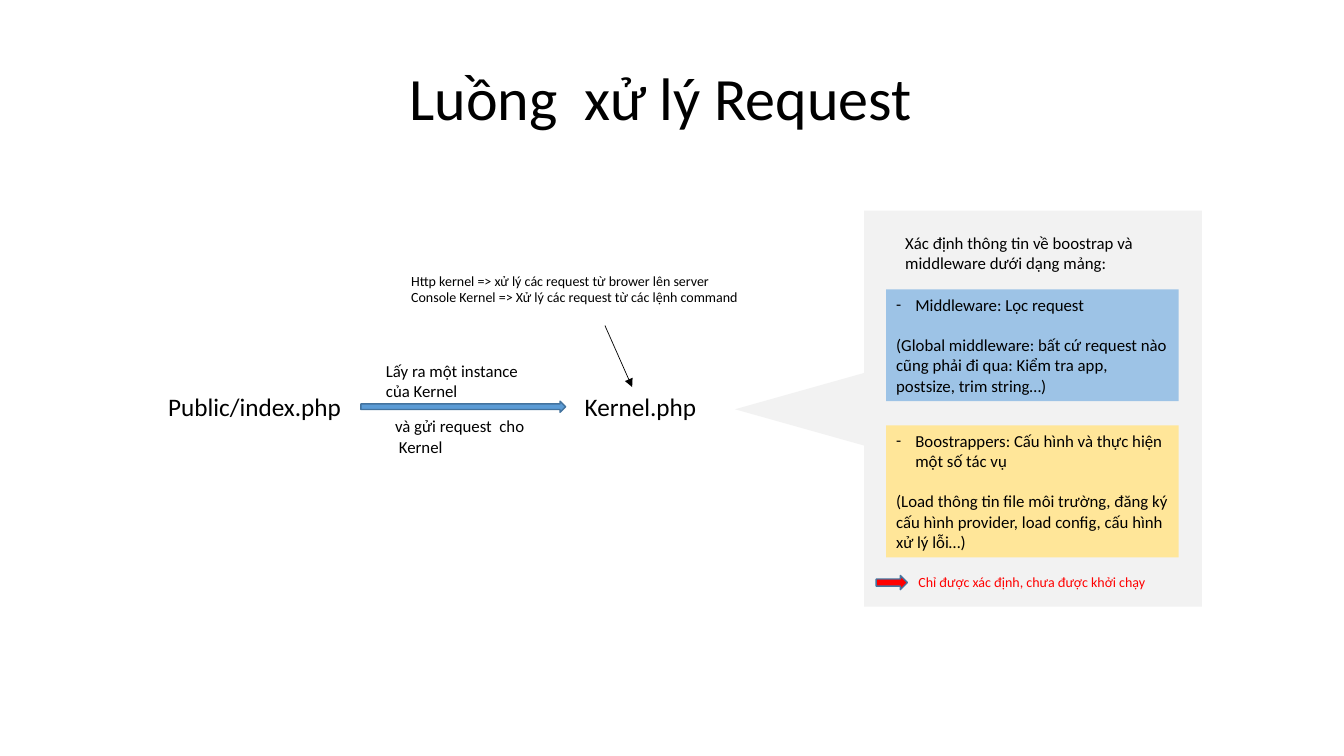
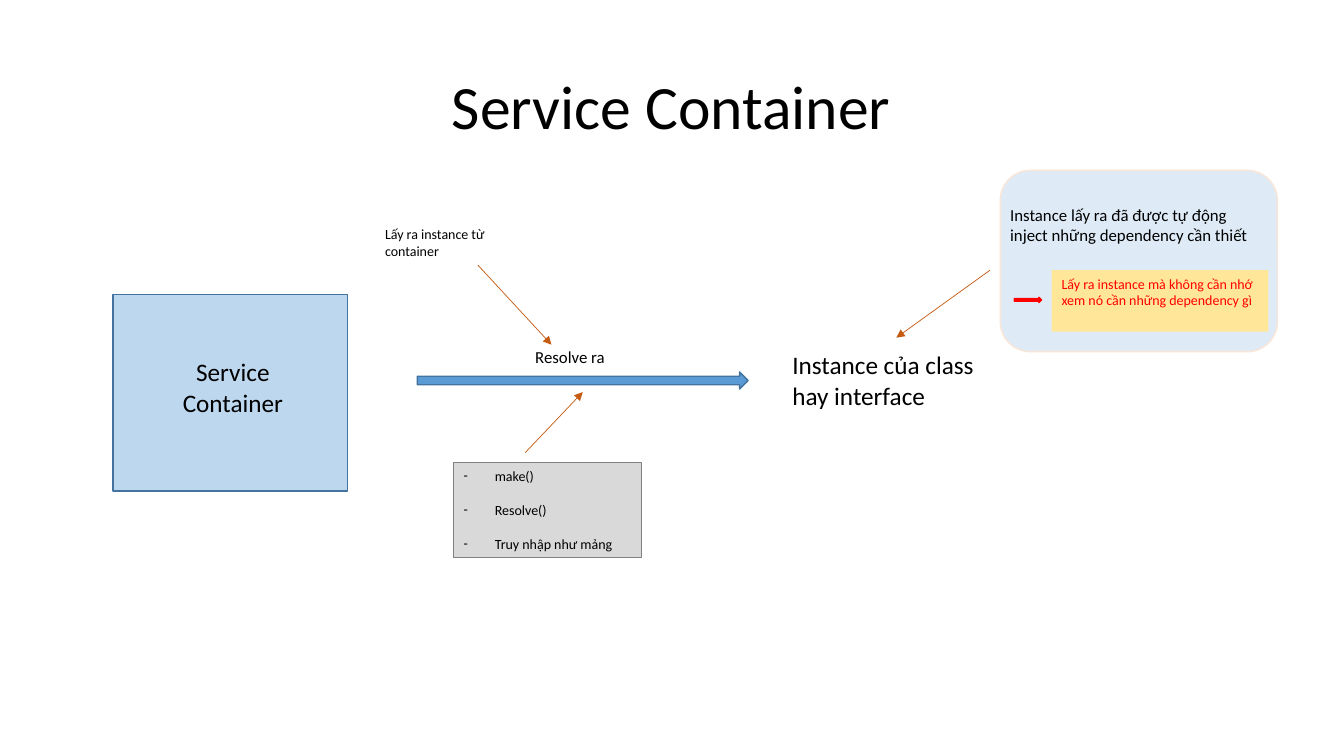
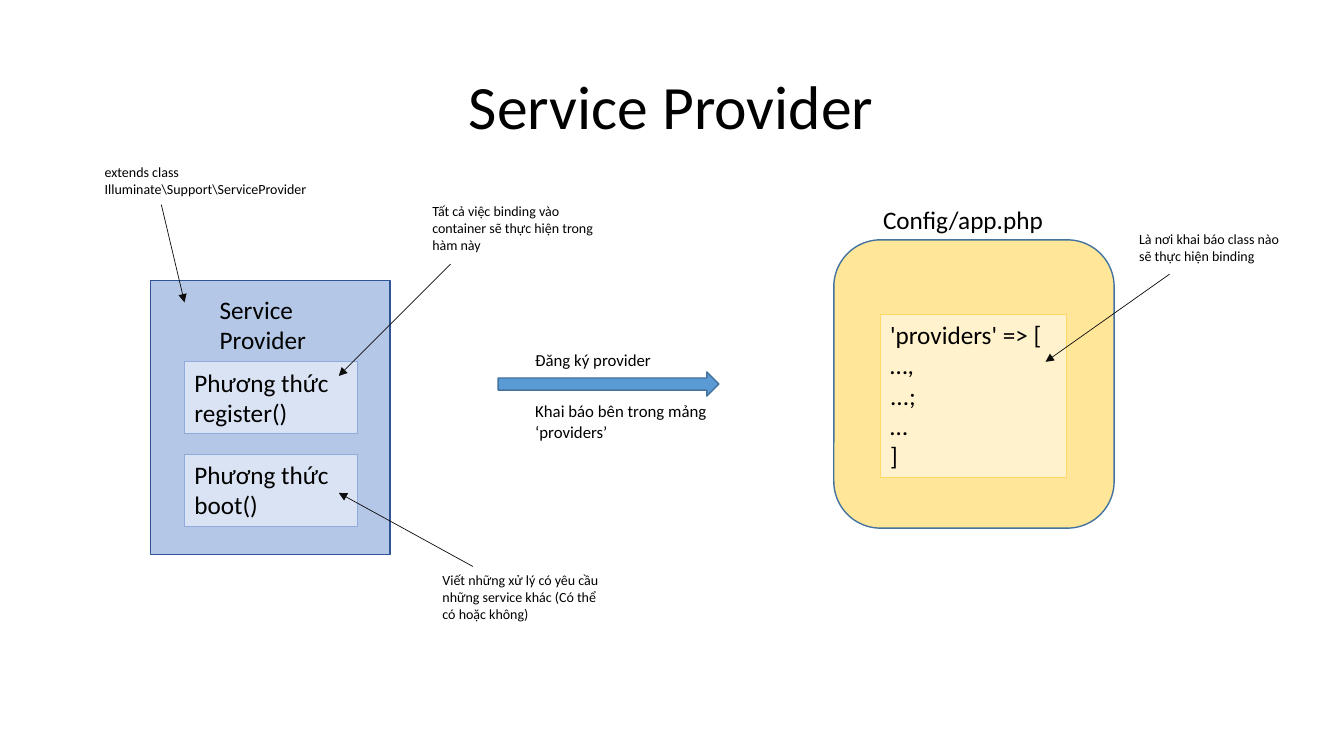
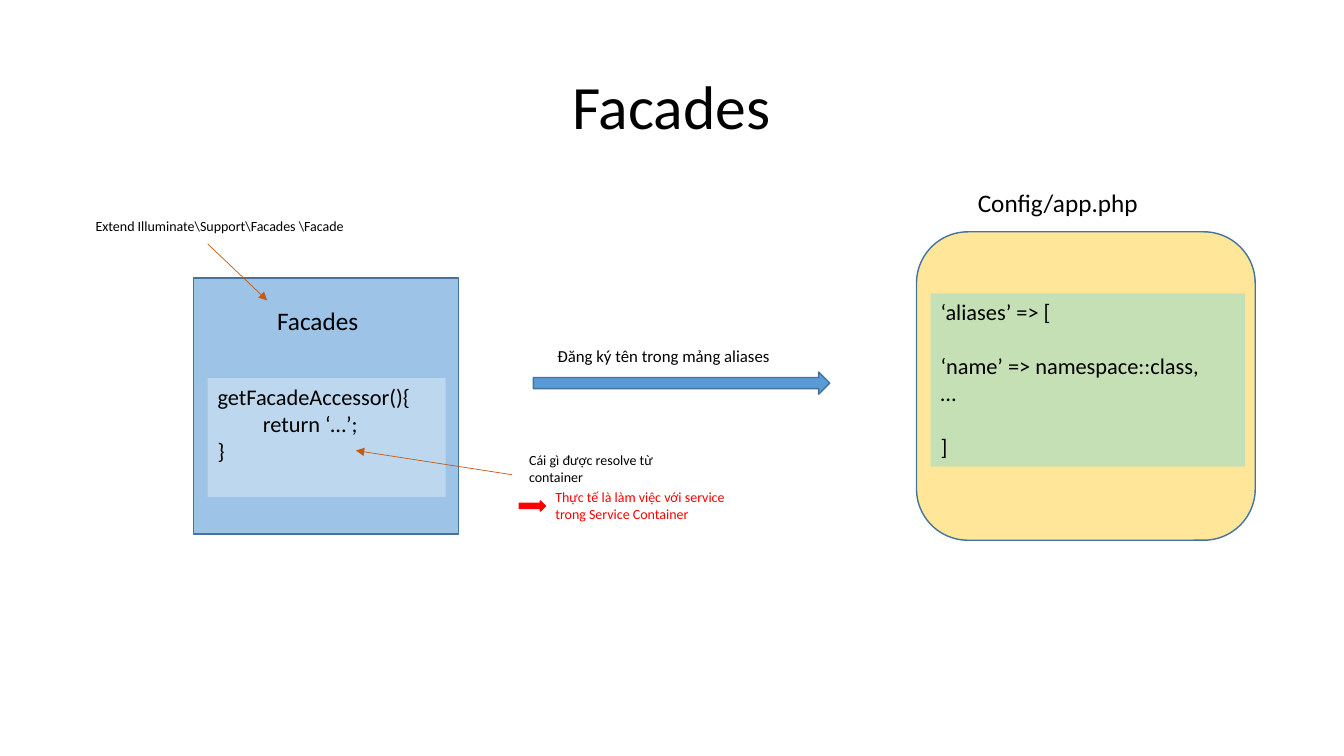
from pptx import Presentation
from pptx.dml.color import RGBColor
from pptx.enum.shapes import MSO_CONNECTOR as Link, MSO_SHAPE as Form
from pptx.enum.text import MSO_ANCHOR as Anchor, PP_ALIGN as Align
from pptx.oxml.ns import qn
from pptx.util import Inches, Pt
from lxml.etree import SubElement as Sub

FONT = "Calibri"
BLACK, INK, RED, RUST = "000000", "0D0D0D", "FF0000", "C55A11"
BLUE, EDGE, SKY, PALE = "5B9BD5", "43739E", "9DC3E6", "BDD7EE"
GOLD, GREY = "FFE699", "F2F2F2"
HEAD = ((1.73, 0.36, 9.86, 1.45), 44)
LOW_HEAD = ((1.57, 0.56, 9.96, 0.88), 42.9)
LINE_GAP = 1.22
CODE_TAB = 0.45

# kind, place, then text, size, ink | fill, edge, text, size, ink, indent | ink
REQUEST = [
    ("text", (1.57, 3.83, 2.01, 0.4), "Public/index.php", 18),
    ("arrow", (3.58, 3.98, 2.03, 0.11), BLUE, EDGE),
    ("text", (3.73, 3.53, 1.73, 0.5), "Lấy ra một instance của Kernel", 12),
    ("text", (3.82, 4.08, 1.49, 0.5), "và gửi request  cho  Kernel", 12),
    ("text", (5.7, 3.83, 1.45, 0.4), "Kernel.php", 18),
    ("text", (3.98, 2.65, 3.85, 0.44),
     "Http kernel => xử lý các request từ brower lên server\n"
     "Console Kernel => Xử lý các request từ các lệnh command", 10),
    ("line", (6, 3.23, 6.27, 3.84), BLACK),
    ("wedge", (7.57, 3.42, 0.72, 1.28), GREY),
    ("rect", (8.57, 2.09, 3.35, 3.93), GREY),
    ("text", (8.88, 2.26, 2.73, 0.5),
     "Xác định thông tin về boostrap và middleware dưới dạng mảng:", 12),
    ("rect", (8.79, 2.87, 2.9, 1.11), SKY, None,
     "- Middleware: Lọc request\n\n(Global middleware: bất cứ request nào "
     "cũng phải đi qua: Kiểm tra app, postsize, trim string…)", 12),
    ("rect", (8.79, 4.22, 2.9, 1.31), GOLD, None,
     "- Boostrappers: Cấu hình và thực hiện một số tác vụ\n\n"
     "(Load thông tin file môi trường, đăng ký cấu hình provider, "
     "load config, cấu hình xử lý lỗi…)", 12),
    ("arrow", (8.69, 5.71, 0.31, 0.14), RED, EDGE),
    ("text", (9.01, 5.64, 2.79, 0.27),
     "Chỉ được xác định, chưa được khởi chạy", 10, RED),
]

CONTAINER = [
    ("rect", (1.12, 2.92, 2.33, 1.95), PALE, EDGE),
    ("mid", (1.62, 3.49, 1.38, 0.71), "Service Container", 18),
    ("arrow", (4.14, 3.69, 3.28, 0.17), BLUE, EDGE),
    ("text", (5.21, 3.39, 1.15, 0.3), "Resolve ra", 12),
    ("text", (7.76, 3.42, 2.41, 0.71), "Instance của class hay interface", 18),
    ("line", (4.74, 2.63, 5.47, 3.42), RUST),
    ("text", (3.72, 2.19, 1.49, 0.44), "Lấy ra instance từ container", 10),
    ("rect", (4.5, 4.59, 1.86, 0.94), "D9D9D9", "808080",
     "- make()\n\n- Resolve()\n\n- Truy nhập như mảng", 10, BLACK, 0.31),
    ("line", (5.21, 4.49, 5.78, 3.89), RUST),
    ("line", (9.82, 2.68, 8.89, 3.35), RUST),
    ("round", (9.92, 1.69, 2.75, 1.8), "DEEBF7", "FBE5D6"),
    ("text", (9.92, 1.98, 2.75, 0.91),
     "Instance lấy ra đã được tự động inject những dependency cần thiết", 12),
    ("arrow", (10.06, 2.95, 0.27, 0.05), RED, RED),
    ("rect", (10.43, 2.68, 2.15, 0.61), GOLD, None,
     "Lấy ra instance mà không cần nhớ xem nó cần những dependency gì",
     10, RED),
]

PROVIDER = [
    ("rect", (1.49, 2.78, 2.38, 2.72), "B4C7E7", "2F5597"),
    ("round", (8.27, 2.38, 2.78, 2.86), GOLD, EDGE),
    ("text", (8.66, 1.98, 2, 0.4), "Config/app.php", 18),
    ("rect", (8.73, 3.12, 1.85, 1.62), "FFF2CC", "FFD966",
     "'providers' => [\n…,\n...;\n…\n]", 18),
    ("text", (2.08, 2.87, 1.22, 0.71), "Service Provider", 18),
    ("arrow", (4.94, 3.69, 2.19, 0.24), BLUE, EDGE),
    ("text", (5.21, 3.93, 1.92, 0.5),
     "Khai báo bên trong mảng ‘providers’", 12),
    ("text", (5.21, 3.42, 1.56, 0.3), "Đăng ký provider", 12),
    *[("rect", (1.83, 3.59 + 0.92 * row, 1.72, 0.71), "DAE3F3", "8FAADC",
       f"Phương thức {name}()", 18)
      for row, name in enumerate(("register", "boot"))],
    ("line", (11.6, 2.72, 10.37, 3.59), INK),
    ("text", (11.2, 2.24, 1.73, 0.44),
     "Là nơi khai báo class nào sẽ thực hiện binding", 10),
    ("line", (4.47, 2.62, 3.36, 3.73), INK),
    ("text", (4.19, 1.96, 1.8, 0.61),
     "Tất cả việc binding vào container sẽ thực hiện trong hàm này", 10),
    ("line", (1.6, 2.03, 1.83, 3), INK),
    ("text", (0.94, 1.57, 2.64, 0.44),
     "extends class Illuminate\\Support\\ServiceProvider", 10),
    ("line", (4.69, 5.62, 3.36, 4.89), INK),
    ("text", (4.29, 5.62, 1.88, 0.61),
     "Viết những xử lý có yêu cầu những service khác "
     "(Có thể có hoặc không)", 10),
]

FACADES = [
    ("rect", (1.92, 2.76, 2.63, 2.54), SKY, EDGE),
    ("round", (9.09, 2.3, 3.36, 3.06), GOLD, EDGE),
    ("arrow", (5.29, 3.69, 2.94, 0.22), BLUE, EDGE),
    ("text", (5.43, 3.38, 2.67, 0.3), "Đăng ký tên trong mảng aliases", 12),
    ("text", (2.65, 2.98, 1.37, 0.4), "Facades", 18),
    ("rect", (2.06, 3.75, 2.36, 1.18), PALE, None,
     "getFacadeAccessor(){\n\treturn ‘…’;\n}", 16),
    ("text", (9.6, 1.81, 2, 0.4), "Config/app.php", 18),
    ("rect", (9.23, 2.91, 3.12, 1.72), "C5E0B4", None,
     "‘aliases’ => [\n\n‘name’ => namespace::class,\n…\n\n]", 16),
    ("line", (2.06, 2.42, 2.65, 2.98), RUST),
    ("text", (0.85, 2.11, 2.87, 0.44),
     "Extend Illuminate\\Support\\Facades \\Facade", 10),
    ("line", (5.08, 4.71, 3.53, 4.47), RUST),
    ("text", (5.15, 4.43, 1.44, 0.44), "Cái gì được resolve từ container", 10),
    ("arrow", (5.15, 4.97, 0.26, 0.1), RED, RED),
    ("text", (5.41, 4.8, 2.18, 0.44),
     "Thực tế là làm việc với service trong Service Container", 10, RED),
]

DECK = [
    ("Luồng  xử lý Request", LOW_HEAD, REQUEST),
    ("Service Container", HEAD, CONTAINER),
    ("Service Provider", HEAD, PROVIDER),
    ("Facades", HEAD, FACADES),
]

FORMS = {"rect": Form.RECTANGLE, "round": Form.ROUNDED_RECTANGLE,
         "arrow": Form.RIGHT_ARROW, "wedge": Form.ISOSCELES_TRIANGLE}


def color(code):
    return RGBColor.from_string(code)


def spread(nums):
    return [Inches(num) for num in nums]


def write(frame, text, size=12, ink=BLACK, align=Align.LEFT,
          anchor=Anchor.TOP, space=None, indent=0.19):
    frame.word_wrap = True
    frame.vertical_anchor = anchor
    para, gap = frame.paragraphs[0], 0
    for row, line in enumerate(text.split("\n")):
        if not line:
            gap = size * LINE_GAP
            continue
        if row:
            para = frame.add_paragraph()
        para.alignment = align
        if space:
            para.line_spacing = space
        if gap:
            para.space_before = Pt(gap)
            gap = 0
        props = para._p.get_or_add_pPr()
        if line.startswith("- "):
            props.set("marL", str(Inches(indent)))
            props.set("indent", str(-Inches(indent)))
            Sub(props, qn("a:buFont"), typeface=FONT)
            Sub(props, qn("a:buChar"), char="-")
            line = line[2:]
        elif line.startswith("\t"):
            props.set("marL", str(Inches(CODE_TAB)))
            line = line[1:]
        run = para.add_run()
        run.text = line
        run.font.name = FONT
        run.font.size = Pt(size)
        run.font.color.rgb = color(ink)


def label(slide, at, text, size, ink=BLACK, **style):
    box = slide.shapes.add_textbox(*spread(at))
    write(box.text_frame, text, size=size, ink=ink, **style)


def block(slide, kind, at, fill, edge=None, text="", size=12, ink=BLACK,
          indent=0.19):
    shape = slide.shapes.add_shape(FORMS[kind], *spread(at))
    shape.shadow.inherit = False
    shape.fill.solid()
    shape.fill.fore_color.rgb = color(fill)
    if edge:
        shape.line.color.rgb = color(edge)
        shape.line.width = Pt(0.75 if text else 1)
    else:
        shape.line.fill.background()
    if kind == "wedge":
        shape.rotation = 270
    if text:
        write(shape.text_frame, text, size=size, ink=ink, indent=indent)


def link(slide, ends, ink):
    wire = slide.shapes.add_connector(Link.STRAIGHT, *spread(ends))
    wire.line.color.rgb = color(ink)
    wire.line.width = Pt(0.5)
    Sub(wire.line._get_or_add_ln(), qn("a:tailEnd"), type="triangle")
    Sub(wire._element.spPr, qn("a:effectLst"))


deck = Presentation()
deck.slide_width, deck.slide_height = Inches(13.33), Inches(7.5)
for title, (at, size), parts in DECK:
    slide = deck.slides.add_slide(deck.slide_layouts[6])
    label(slide, at, title, size, align=Align.CENTER,
          anchor=Anchor.MIDDLE, space=0.9)
    for kind, place, *rest in parts:
        if kind == "text":
            label(slide, place, *rest)
        elif kind == "mid":
            label(slide, place, *rest, align=Align.CENTER)
        elif kind == "line":
            link(slide, place, *rest)
        else:
            block(slide, kind, place, *rest)
deck.save("out.pptx")
